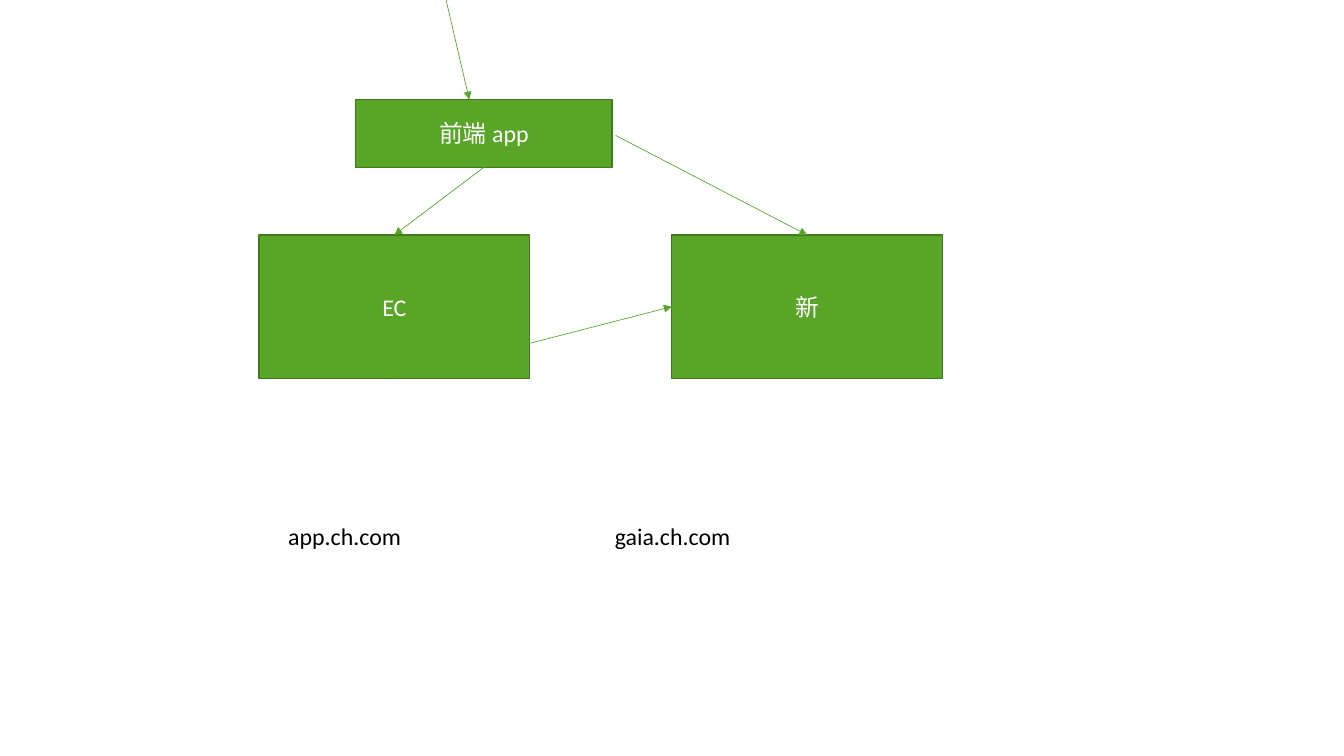
from lxml import etree
from pptx import Presentation
from pptx.dml.color import RGBColor
from pptx.enum.shapes import MSO_CONNECTOR, MSO_SHAPE
from pptx.enum.text import MSO_ANCHOR, MSO_AUTO_SIZE, PP_ALIGN
from pptx.oxml.ns import qn
from pptx.util import Pt

RECTANGLE = MSO_SHAPE.RECTANGLE
STRAIGHT = MSO_CONNECTOR.STRAIGHT
MIDDLE = MSO_ANCHOR.MIDDLE
FIT_SHAPE = MSO_AUTO_SIZE.SHAPE_TO_FIT_TEXT
CENTER = PP_ALIGN.CENTER
LEFT = PP_ALIGN.LEFT

COLORS = {"green": "58A527", "border": "417A1D", "white": "FFFFFF", "black": "000000"}


def color(name):
    return RGBColor.from_string(COLORS[name])


def write_text(text_frame, text, color_name, alignment):
    text_frame.text = text
    paragraph = text_frame.paragraphs[0]
    paragraph.alignment = alignment
    font = paragraph.runs[0].font
    font.name = "Calibri"
    font.size = Pt(18)
    font.color.rgb = color(color_name)


presentation = Presentation()
presentation.slide_width = Pt(1012.3)
presentation.slide_height = Pt(569.5)
slide = presentation.slides.add_slide(presentation.slide_layouts[6])

service_top, service_width, service_height = 177, 204, 108
ec_left, new_left = 195, 506
app_left, app_top, app_width, app_height = 268, 75, 193, 51

boxes = [
    ("新", new_left, service_top, service_width, service_height),
    ("EC", ec_left, service_top, service_width, service_height),
    ("前端 app", app_left, app_top, app_width, app_height),
]
for text, left, top, width, height in boxes:
    shape = slide.shapes.add_shape(RECTANGLE, Pt(left), Pt(top), Pt(width), Pt(height))
    shape.shadow.inherit = False
    shape.fill.solid()
    shape.fill.fore_color.rgb = color("green")
    shape.line.color.rgb = color("border")
    shape.line.width = Pt(1)
    shape.text_frame.vertical_anchor = MIDDLE
    write_text(shape.text_frame, text, "white", CENTER)

ec_center = ec_left + service_width / 2
new_center = new_left + service_width / 2
arrows = [
    (336, 0, 353.5, app_top),
    (app_left + app_width / 2, app_top + app_height, ec_center, service_top),
    (ec_center, service_top + service_height, new_left, service_top + service_height / 2),
    (463.7, 102, new_center, service_top),
]
for start_x, start_y, end_x, end_y in arrows:
    connector = slide.shapes.add_connector(
        STRAIGHT, Pt(start_x), Pt(start_y), Pt(end_x), Pt(end_y)
    )
    connector.line.color.rgb = color("green")
    connector.line.width = Pt(0.5)
    etree.SubElement(connector.line._get_or_add_ln(), qn("a:tailEnd"), type="triangle")
    etree.SubElement(connector._element.spPr, qn("a:effectLst"))

for text, left, width in [("app.ch.com", 210, 101), ("gaia.ch.com", 456, 102)]:
    label = slide.shapes.add_textbox(Pt(left), Pt(389.5), Pt(width), Pt(29))
    label.text_frame.word_wrap = False
    label.text_frame.auto_size = FIT_SHAPE
    write_text(label.text_frame, text, "black", LEFT)

presentation.save("out.pptx")
